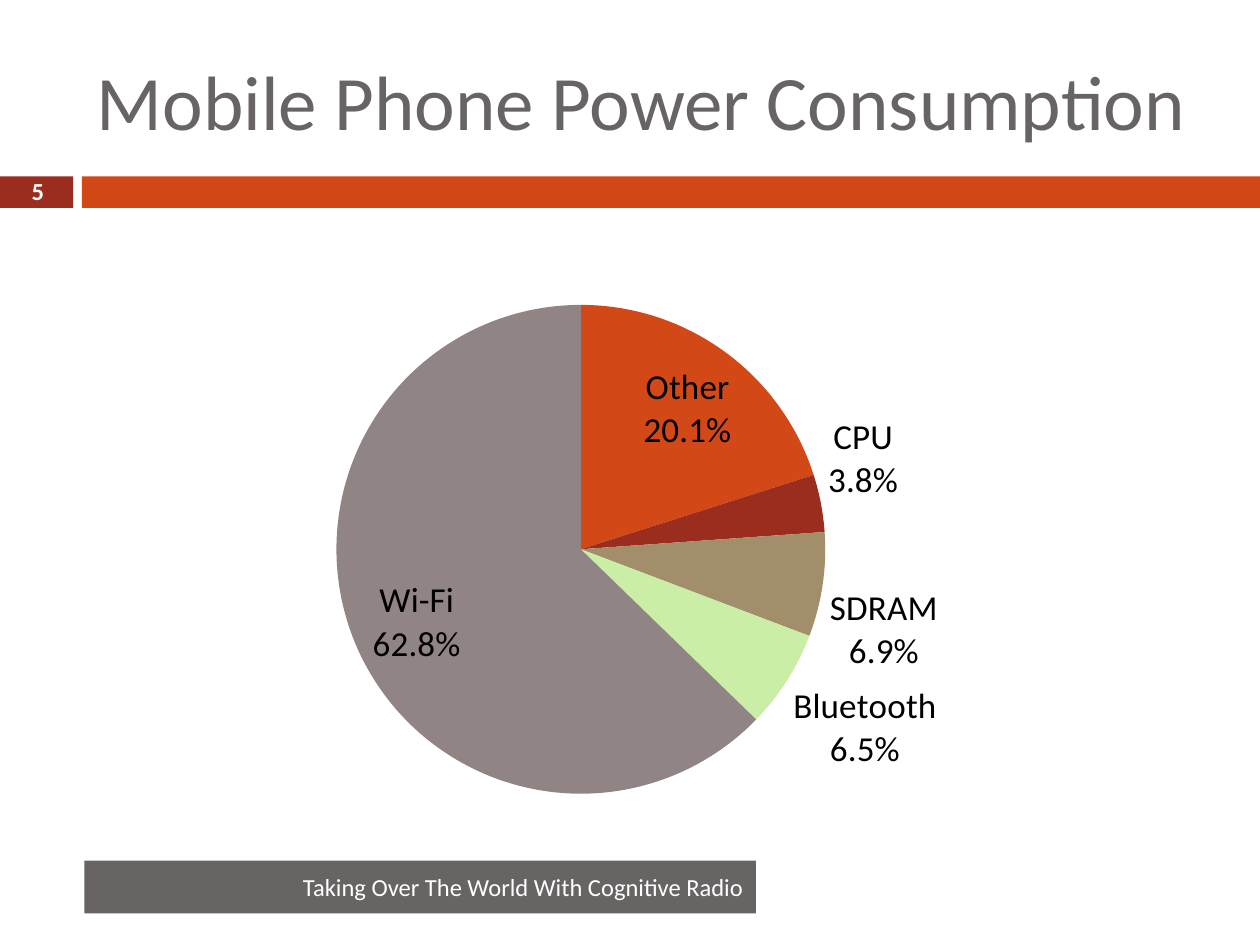
"""Build the mobile phone power consumption slide with its pie chart."""
import pptx
import pptx.chart.data
import pptx.dml.color
import pptx.enum.chart
import pptx.enum.shapes
import pptx.enum.text
import pptx.oxml
import pptx.oxml.ns
import pptx.util
from pptx.util import Inches

THEME = {
    "font": "Calibri",
    "colors": {"orange": "D34817", "red": "9B2D1F", "gray": "696464",
               "tan": "A28E6A", "green": "CAEEA6", "mauve": "918485",
               "white": "FFFFFF", "black": "000000"},
    "sizes": {"title": 44, "label": 20, "small": 14},
}
ALIGN = pptx.enum.text.PP_ALIGN
ANCHOR = pptx.enum.text.MSO_ANCHOR


def color(name):
    return pptx.dml.color.RGBColor.from_string(THEME["colors"][name])


def format_font(font, size, color_name, bold=False):
    formats = {"name": THEME["font"], "size": pptx.util.Pt(THEME["sizes"][size]), "bold": bold}
    for attribute, value in formats.items():
        setattr(font, attribute, value)
    font.color.rgb = color(color_name)


presentation = pptx.Presentation()
presentation.slide_width = Inches(10)
presentation.slide_height = Inches(7.5)
slide = presentation.slides.add_slide(presentation.slide_layouts[6])

bars = {}
for role, left, top, width, height, fill in (
    ("number", 0, 1.4, 0.58, 0.25, "red"),
    ("title", 0.65, 1.4, 9.35, 0.25, "orange"),
    ("footer", 0.67, 6.83, 5.33, 0.42, "gray"),
):
    shape = slide.shapes.add_shape(
        pptx.enum.shapes.MSO_SHAPE.RECTANGLE,
        Inches(left), Inches(top), Inches(width), Inches(height))
    shape.shadow.inherit = False
    shape.fill.solid()
    shape.fill.fore_color.rgb = color(fill)
    shape.line.fill.background()
    bars[role] = shape

number_box = slide.shapes.add_textbox(Inches(0.06), Inches(1.35), Inches(0.48), Inches(0.34))
title_box = slide.shapes.add_textbox(Inches(0.67), Inches(0.25), Inches(8.92), Inches(1.08))

for shape, text, size, text_color, bold, alignment, anchor in (
    (number_box, "5", "small", "white", True, ALIGN.CENTER, ANCHOR.TOP),
    (bars["footer"], "Taking Over The World With Cognitive Radio",
     "small", "white", False, ALIGN.RIGHT, ANCHOR.MIDDLE),
    (title_box, "Mobile Phone Power Consumption",
     "title", "gray", False, ALIGN.LEFT, ANCHOR.MIDDLE),
):
    frame = shape.text_frame
    for attribute, value in {"word_wrap": True, "vertical_anchor": anchor}.items():
        setattr(frame, attribute, value)
    paragraph = frame.paragraphs[0]
    paragraph.alignment = alignment
    run = paragraph.add_run()
    run.text = text
    format_font(run.font, size, text_color, bold)

power_shares = (
    ("Other", 20.1, "orange"),
    ("CPU", 3.8, "red"),
    ("SDRAM", 6.9, "tan"),
    ("Bluetooth", 6.5, "green"),
    ("Wi-Fi", 62.8, "mauve"),
)
chart_data = pptx.chart.data.CategoryChartData()
chart_data.categories = [category for category, share, fill in power_shares]
chart_data.add_series("Series 1", [share for category, share, fill in power_shares])
chart_left, chart_top, chart_width, chart_height = 0.67, 1.75, 8.92, 4.92
chart = slide.shapes.add_chart(
    pptx.enum.chart.XL_CHART_TYPE.PIE,
    Inches(chart_left), Inches(chart_top),
    Inches(chart_width), Inches(chart_height), chart_data).chart
chart.has_legend = False
chart.has_title = False
format_font(chart.font, "label", "black")

plot = chart.plots[0]
plot.vary_by_categories = True
for index, (category, share, fill) in enumerate(power_shares):
    point_format = plot.series[0].points[index].format
    point_format.fill.solid()
    point_format.fill.fore_color.rgb = color(fill)
    point_format.line.fill.background()

plot.has_data_labels = True
labels = plot.data_labels
label_formats = {
    "show_category_name": True,
    "show_value": True,
    "show_percentage": False,
    "number_format": '0.0"%"',
    "number_format_is_linked": False,
    "position": pptx.enum.chart.XL_LABEL_POSITION.BEST_FIT,
}
for attribute, value in label_formats.items():
    setattr(labels, attribute, value)
format_font(labels.font, "label", "black")

namespace = pptx.oxml.ns.nsdecls("c")
label_element = plot._element.find(pptx.oxml.ns.qn("c:dLbls"))
bubble_size = label_element.find(pptx.oxml.ns.qn("c:showBubbleSize"))
bubble_size.addnext(pptx.oxml.parse_xml(f"<c:separator {namespace}>\n</c:separator>"))

pie_left, pie_top, pie_size = 2.67, 2.42, 3.88
plot_area = chart._chartSpace.chart.plotArea
for old_layout in plot_area.findall(pptx.oxml.ns.qn("c:layout")):
    plot_area.remove(old_layout)
positions = "".join(
    f'<c:{tag} val="{value}"/>' for tag, value in (
        ("layoutTarget", "inner"), ("xMode", "edge"), ("yMode", "edge"),
        ("x", (pie_left - chart_left) / chart_width),
        ("y", (pie_top - chart_top) / chart_height),
        ("w", pie_size / chart_width),
        ("h", pie_size / chart_height)))
plot_area.insert(0, pptx.oxml.parse_xml(
    f"<c:layout {namespace}><c:manualLayout>{positions}</c:manualLayout></c:layout>"))

presentation.save("out.pptx")
